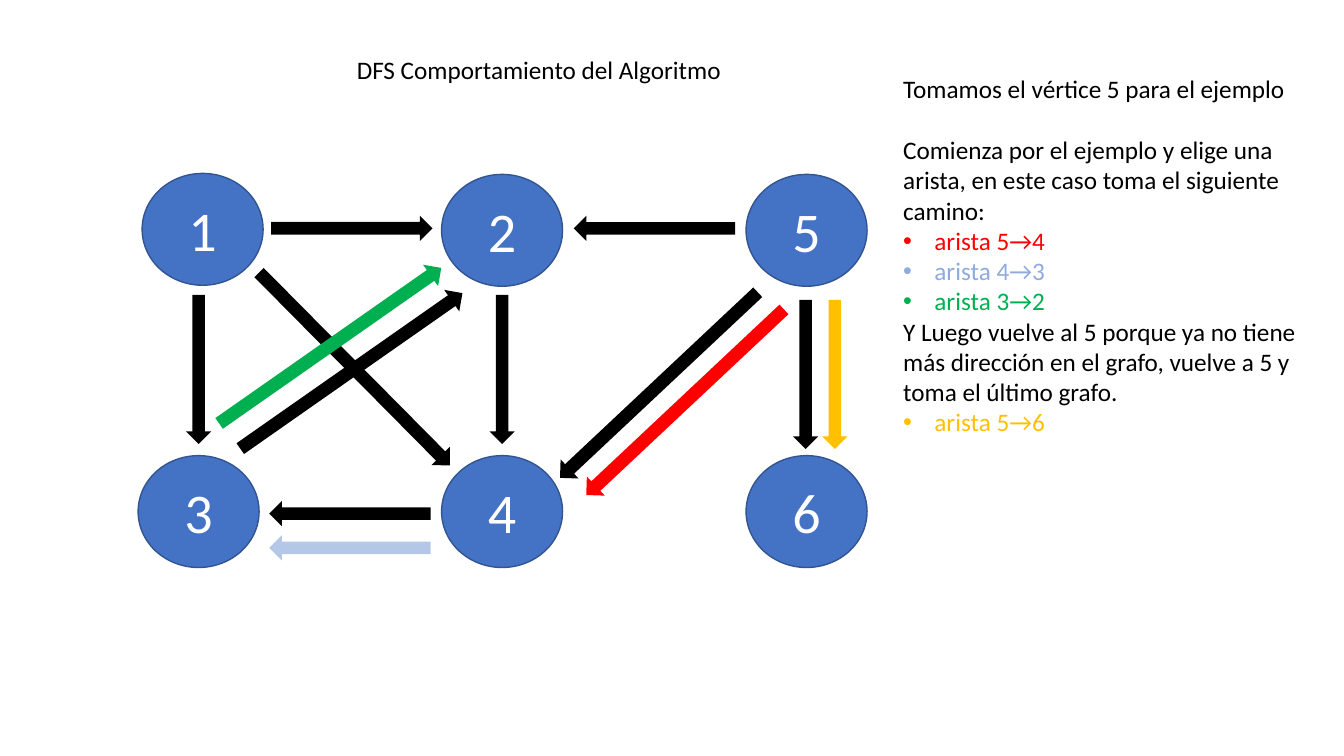
from dataclasses import dataclass
from typing import NamedTuple

from lxml import etree
from pptx import Presentation
from pptx.dml.color import RGBColor
from pptx.enum.shapes import MSO_SHAPE
from pptx.enum.text import MSO_ANCHOR, MSO_AUTO_SIZE, PP_ALIGN
from pptx.oxml.ns import qn
from pptx.util import Inches, Pt

ELLIPSE = MSO_SHAPE.OVAL
RIGHT_ARROW = MSO_SHAPE.RIGHT_ARROW
MIDDLE = MSO_ANCHOR.MIDDLE
CENTER = PP_ALIGN.CENTER
LEFT = PP_ALIGN.LEFT
FIT_SHAPE = MSO_AUTO_SIZE.SHAPE_TO_FIT_TEXT


@dataclass(frozen=True)
class Theme:
    font: str = "Calibri"
    body_size: int = 18
    vertex_size: int = 40
    blank_line: int = 22
    white: str = "FFFFFF"
    black: str = "000000"
    vertex: str = "4472C4"
    vertex_line: str = "325491"
    red: str = "FF0000"
    blue_text: str = "8FAADC"
    blue_arrow: str = "B4C7E7"
    green: str = "00B050"
    gold: str = "FFC000"


class Vertex(NamedTuple):
    label: str
    left: float
    top: float


class ArrowSize(NamedTuple):
    length: float
    thickness: float


class Edge(NamedTuple):
    left: float
    top: float
    size: ArrowSize
    rotation: float
    color: str


class Line(NamedTuple):
    text: str
    color: str
    bullet: bool = False
    space_after: int = 0


THEME = Theme()
VERTEX_WIDTH, VERTEX_HEIGHT = 1.2, 1.11
BULLET_INDENT = 0.31
HORIZONTAL = ArrowSize(1.6, 0.25)
VERTICAL = ArrowSize(1.48, 0.25)
DIAGONAL = ArrowSize(2.69, 0.26)

VERTICES = [
    Vertex("1", 1.41, 1.72),
    Vertex("2", 4.38, 1.73),
    Vertex("3", 1.37, 4.52),
    Vertex("5", 7.4, 1.73),
    Vertex("4", 4.38, 4.52),
    Vertex("6", 7.4, 4.52),
]

GRAPH_EDGES = [
    Edge(2.69, 2.14, HORIZONTAL, 0, THEME.black),
    Edge(2.67, 4.97, HORIZONTAL, 180, THEME.black),
    Edge(7.25, 3.59, VERTICAL, 90, THEME.black),
    Edge(4.24, 3.54, VERTICAL, 90, THEME.black),
    Edge(1.23, 3.54, VERTICAL, 90, THEME.black),
    Edge(2.14, 3.55, DIAGONAL, 325, THEME.black),
    Edge(2.17, 3.53, DIAGONAL, 45.3, THEME.black),
    Edge(5.19, 3.69, DIAGONAL, 136.8, THEME.black),
    Edge(5.69, 2.14, HORIZONTAL, 180, THEME.black),
]

PATH_EDGES = [
    Edge(5.45, 3.86, DIAGONAL, 136.8, THEME.red),
    Edge(2.67, 5.31, HORIZONTAL, 180, THEME.blue_arrow),
    Edge(1.93, 3.3, DIAGONAL, 325, THEME.green),
    Edge(7.54, 3.59, VERTICAL, 90, THEME.gold),
]

TITLE = [Line("DFS Comportamiento del Algoritmo", THEME.black)]
EXPLANATION = [
    Line("Tomamos el vértice 5 para el ejemplo", THEME.black, space_after=THEME.blank_line),
    Line("Comienza por el ejemplo y elige una arista, en este caso toma el siguiente camino:",
         THEME.black),
    Line("arista 5→4", THEME.red, bullet=True),
    Line("arista 4→3", THEME.blue_text, bullet=True),
    Line("arista 3→2", THEME.green, bullet=True),
    Line("Y Luego vuelve al 5 porque ya no tiene más dirección en el grafo, "
         "vuelve a 5 y toma el último grafo.", THEME.black),
    Line("arista 5→6", THEME.gold, bullet=True),
]


def add_span(para, text: str, size: int, color: str) -> None:
    span = para.add_run()
    span.text = text
    span.font.name = THEME.font
    span.font.size = Pt(size)
    span.font.color.rgb = RGBColor.from_string(color)


def add_filled_shape(page, kind, left: float, top: float, width: float, height: float,
                     color: str):
    shape = page.shapes.add_shape(kind, Inches(left), Inches(top), Inches(width), Inches(height))
    shape.shadow.inherit = False
    shape.fill.solid()
    shape.fill.fore_color.rgb = RGBColor.from_string(color)
    return shape


def draw_vertex(page, vertex: Vertex) -> None:
    circle = add_filled_shape(page, ELLIPSE, vertex.left, vertex.top,
                              VERTEX_WIDTH, VERTEX_HEIGHT, THEME.vertex)
    circle.line.color.rgb = RGBColor.from_string(THEME.vertex_line)
    circle.line.width = Pt(1)
    circle.text_frame.vertical_anchor = MIDDLE
    para = circle.text_frame.paragraphs[0]
    para.alignment = CENTER
    add_span(para, vertex.label, THEME.vertex_size, THEME.white)


def draw_edge(page, edge: Edge) -> None:
    arrow = add_filled_shape(page, RIGHT_ARROW, edge.left, edge.top,
                             edge.size.length, edge.size.thickness, edge.color)
    arrow.line.fill.background()
    arrow.rotation = edge.rotation


def add_bullet(para) -> None:
    properties = para._p.get_or_add_pPr()
    properties.set("marL", str(Inches(BULLET_INDENT)))
    properties.set("indent", str(-Inches(BULLET_INDENT)))
    etree.SubElement(properties, qn("a:buFont")).set("typeface", "Arial")
    etree.SubElement(properties, qn("a:buChar")).set("char", "•")


def draw_text(page, lines: list[Line], left: float, top: float, width: float,
              height: float, wrap: bool) -> None:
    box = page.shapes.add_textbox(Inches(left), Inches(top), Inches(width), Inches(height))
    frame = box.text_frame
    frame.word_wrap = wrap
    frame.auto_size = FIT_SHAPE
    for index, line in enumerate(lines):
        para = frame.add_paragraph() if index else frame.paragraphs[0]
        para.alignment = LEFT
        para.space_after = Pt(line.space_after)
        if line.bullet:
            add_bullet(para)
        add_span(para, line.text, THEME.body_size, line.color)


def main() -> None:
    deck = Presentation()
    deck.slide_width, deck.slide_height = Inches(13.33), Inches(7.5)
    page = deck.slides.add_slide(deck.slide_layouts[6])
    for vertex in VERTICES:
        draw_vertex(page, vertex)
    for edge in GRAPH_EDGES:
        draw_edge(page, edge)
    draw_text(page, EXPLANATION, 8.86, 0.68, 4.26, 4.04, wrap=True)
    for edge in PATH_EDGES:
        draw_edge(page, edge)
    draw_text(page, TITLE, 3.44, 0.49, 3.85, 0.4, wrap=False)
    deck.save("out.pptx")


main()
